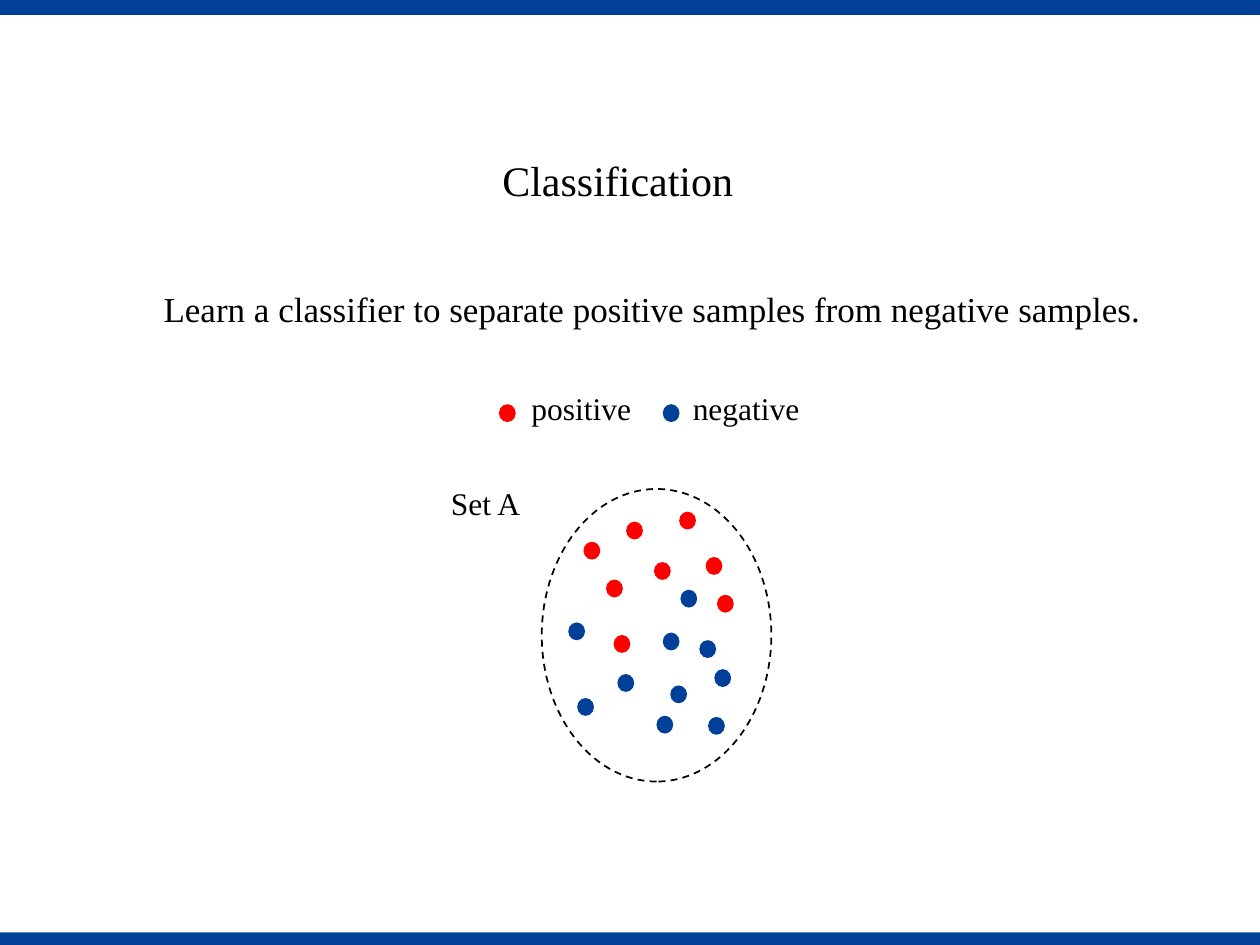
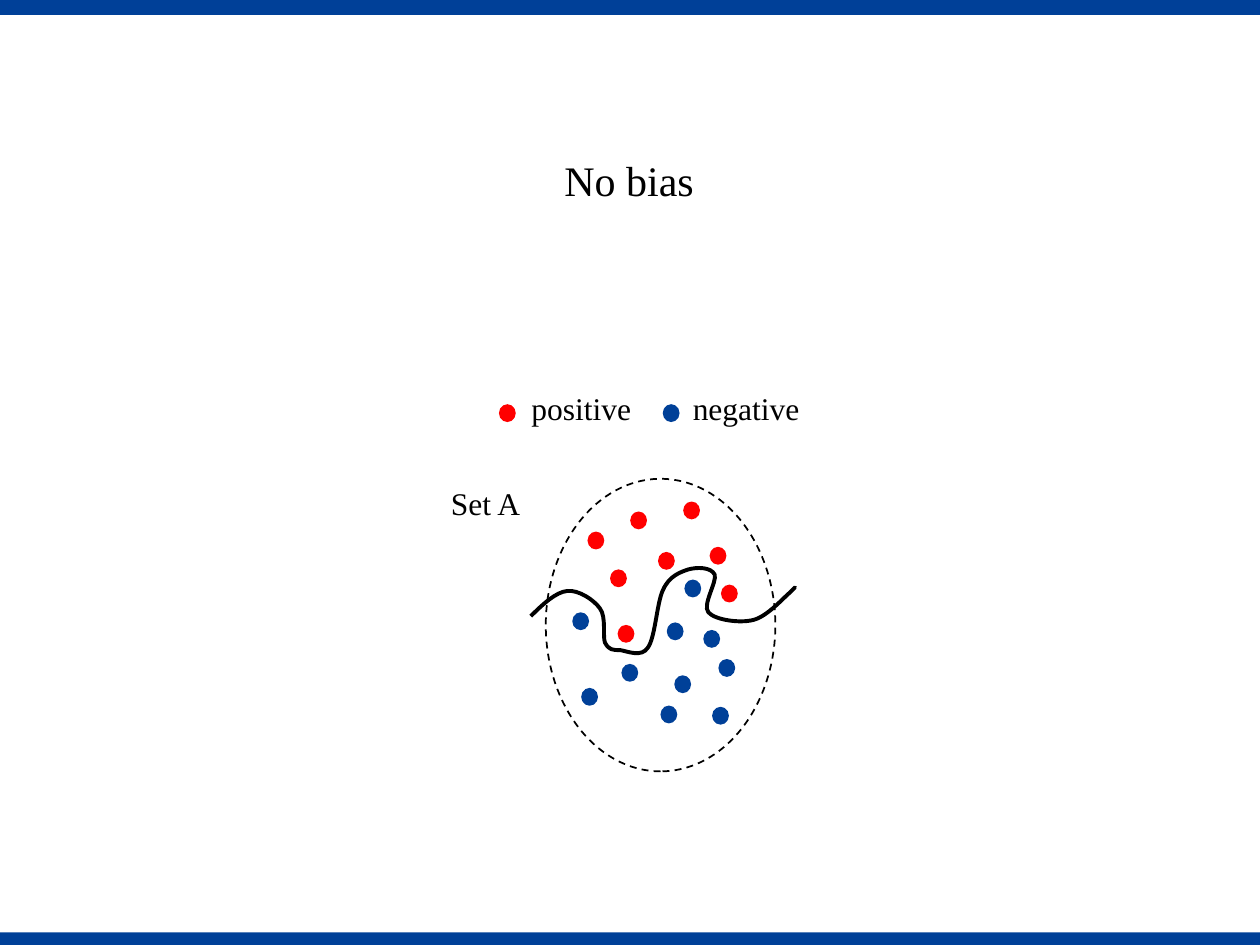
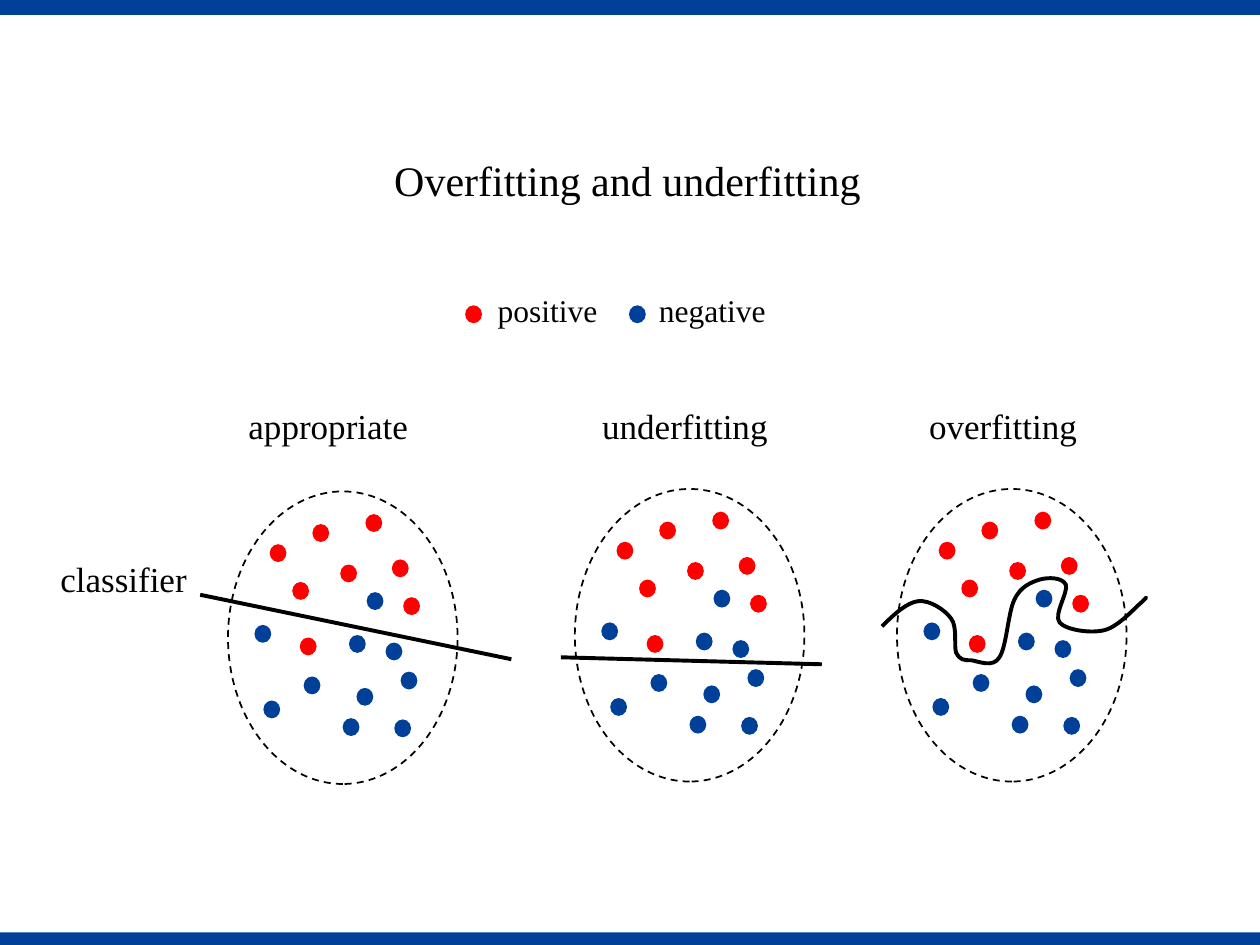
from dataclasses import dataclass
from typing import NamedTuple

from lxml import etree
from pptx import Presentation
from pptx.dml.color import RGBColor
from pptx.enum import dml, shapes, text
from pptx.oxml import ns
from pptx.util import Pt


@dataclass(frozen=True)
class Theme:
    blue: RGBColor = RGBColor(0x00, 0x40, 0x98)
    red: RGBColor = RGBColor(0xFF, 0x00, 0x00)
    black: RGBColor = RGBColor(0x00, 0x00, 0x00)
    font: str = "Times New Roman"
    title_size: float = 24
    body_size: float = 20
    label_size: float = 18
    outline: float = 1
    classifier_line: float = 2.25


class Point(NamedTuple):
    x: float
    y: float


class Box(NamedTuple):
    left: float
    top: float
    width: float
    height: float

    def lengths(self) -> tuple:
        return tuple(Pt(value) for value in self)


class Label(NamedTuple):
    wording: str
    box: Box
    size: float
    wrap: bool = False


class Line(NamedTuple):
    start: Point
    end: Point


THEME = Theme()
WIDTH, HEIGHT = 720, 540
BANDS = (Box(0, 532.8, WIDTH, 7.2), Box(0, 0, WIDTH, 8.6))
DOT = (9.6, 10.2)
SET_WIDTH, SET_HEIGHT = 131.2, 167.2

# Dot corners, measured from the top left of the sample set.
POSITIVES = (
    Point(48.2, 18.7), Point(64.1, 41.8), Point(36.7, 51.8), Point(78.5, 13),
    Point(41, 83.5), Point(93.6, 38.9), Point(100.1, 60.5), Point(23.8, 30.2),
)
NEGATIVES = (
    Point(69.1, 82.1), Point(15.1, 76.3), Point(20.2, 119.5), Point(43.2, 105.8),
    Point(65.5, 129.6), Point(98.6, 103), Point(73.4, 112.3), Point(95, 130.3),
    Point(79.2, 57.6), Point(90, 86.4),
)

# Start point, then two control points and an end point for each Bezier segment.
OVERFITTED_CURVE = (
    Point(-8.6, 78.5),
    Point(-1.4, 71.3), Point(5.8, 64.8), Point(12.2, 64.1),
    Point(18.7, 63.4), Point(27.4, 69.1), Point(31, 74.2),
    Point(34.6, 79.2), Point(32.4, 90), Point(33.8, 93.6),
    Point(36, 97.9), Point(38.2, 97.9), Point(42.5, 97.9),
    Point(46.8, 98.6), Point(54.7, 102.2), Point(58.3, 96.5),
    Point(62.6, 90.7), Point(63.4, 70.6), Point(67, 63.4),
    Point(70.6, 55.4), Point(77, 53.3), Point(81.4, 51.8),
    Point(86.4, 50.4), Point(94.3, 50.4), Point(96.5, 54.7),
    Point(97.9, 59), Point(89.3, 72), Point(92.9, 76.3),
    Point(96.5, 80.6), Point(110.9, 82.8), Point(118.8, 80.6),
    Point(126.7, 78.5), Point(136.1, 67.7), Point(139.7, 64.8),
    Point(143.3, 61.2), Point(142.6, 61.9), Point(141.8, 62.6),
)

SET_A = Label("Set A", Box(250.6, 272.9, 54.7, 28.8), THEME.label_size)


def add_filled(container, kind: shapes.MSO_SHAPE, box: Box, color: RGBColor) -> None:
    shape = container.shapes.add_shape(kind, *box.lengths())
    shape.shadow.inherit = False
    shape.fill.solid()
    shape.fill.fore_color.rgb = color
    shape.line.fill.background()


def add_dot(container, corner: Point, color: RGBColor) -> None:
    add_filled(container, shapes.MSO_SHAPE.OVAL, Box(*corner, *DOT), color)


def set_line(shape, width: float) -> None:
    shape.line.color.rgb = THEME.black
    shape.line.width = Pt(width)


def add_label(container, label: Label) -> None:
    frame = container.shapes.add_textbox(*label.box.lengths()).text_frame
    frame.word_wrap = label.wrap
    frame.auto_size = text.MSO_AUTO_SIZE.SHAPE_TO_FIT_TEXT
    run = frame.paragraphs[0].add_run()
    run.text = label.wording
    run.font.name = THEME.font
    run.font.size = Pt(label.size)
    run.font.color.rgb = THEME.black


def add_legend(slide, origin: Point) -> None:
    group = slide.shapes.add_group_shape()
    entries = (("positive", THEME.red, 0, 11.5, 72),
               ("negative", THEME.blue, 93.6, 103.7, 76.3))
    for wording, color, dot_offset, text_offset, width in entries:
        add_dot(group, Point(origin.x + dot_offset, origin.y + 12), color)
        box = Box(origin.x + text_offset, origin.y, width, 28.8)
        add_label(group, Label(wording, box, THEME.label_size))


def add_sample_set(slide, origin: Point) -> None:
    """Draw the dashed set, turned a quarter, with all its samples."""
    group = slide.shapes.add_group_shape()
    shift = (SET_HEIGHT - SET_WIDTH) / 2
    frame = Box(origin.x - shift, origin.y + shift, SET_HEIGHT, SET_WIDTH)
    ellipse = group.shapes.add_shape(shapes.MSO_SHAPE.OVAL, *frame.lengths())
    ellipse.rotation = 270
    ellipse.shadow.inherit = False
    ellipse.fill.background()
    set_line(ellipse, THEME.outline)
    ellipse.line.dash_style = dml.MSO_LINE.DASH
    for samples, color in ((POSITIVES, THEME.red), (NEGATIVES, THEME.blue)):
        for sample in samples:
            add_dot(group, Point(origin.x + sample.x, origin.y + sample.y), color)


def add_overfitted_curve(slide, origin: Point) -> None:
    """Build the outline from straight segments, then turn each three into a Bezier."""
    start, *rest = [(Pt(origin.x + point.x), Pt(origin.y + point.y))
                    for point in OVERFITTED_CURVE]
    builder = slide.shapes.build_freeform(*start)
    builder.add_line_segments(rest, close=False)
    curve = builder.convert_to_shape()
    curve.shadow.inherit = False
    curve.fill.background()
    set_line(curve, THEME.classifier_line)
    segments = curve.element.xpath(".//a:lnTo")
    outline = segments[0].getparent()
    for index in range(0, len(segments), 3):
        bezier = etree.SubElement(outline, ns.qn("a:cubicBezTo"))
        for segment in segments[index:index + 3]:
            bezier.append(segment[0])
            outline.remove(segment)


def add_classifier_line(slide, line: Line) -> None:
    connector = slide.shapes.add_connector(
        shapes.MSO_CONNECTOR.STRAIGHT,
        *(Pt(value) for value in (*line.start, *line.end)))
    set_line(connector, THEME.classifier_line)
    etree.SubElement(connector.element.spPr, ns.qn("a:effectLst"))


def add_slide(presentation, title: Label, legend: Point):
    """Add a slide with the shared bands, its title and the legend."""
    slide = presentation.slides.add_slide(presentation.slide_layouts[6])
    for band in BANDS:
        add_filled(slide, shapes.MSO_SHAPE.RECTANGLE, band, THEME.blue)
    add_label(slide, title)
    add_legend(slide, legend)
    return slide


def title_label(wording: str, left: float, width: float, wrap: bool = False) -> Label:
    return Label(wording, Box(left, 85, width, 36), THEME.title_size, wrap)


def body_label(wording: str, left: float, top: float, width: float,
               wrap: bool = False) -> Label:
    return Label(wording, Box(left, top, width, 31.5), THEME.body_size, wrap)


def add_classification(presentation) -> None:
    slide = add_slide(presentation, title_label("Classification", 280, 160, True),
                      Point(285.1, 219))
    add_sample_set(slide, Point(309.6, 279.4))
    add_label(slide, body_label(
        "Learn a classifier to separate positive samples from negative samples.",
        86.4, 160.6, 583.2, True))
    add_label(slide, SET_A)


def add_no_bias(presentation) -> None:
    slide = add_slide(presentation, title_label("No bias", 315.4, 89.3),
                      Point(285.1, 219))
    origin = Point(311.9, 273.6)
    add_sample_set(slide, origin)
    add_overfitted_curve(slide, origin)
    add_label(slide, SET_A)


def add_fitting(presentation) -> None:
    slide = add_slide(presentation,
                      title_label("Overfitting and underfitting", 218.2, 283.7),
                      Point(265.8, 162.5))
    heading_top = 227.5
    for label in (body_label("classifier", 27.4, 315.2, 87.1),
                  body_label("appropriate", 134.9, heading_top, 106.6),
                  body_label("underfitting", 337, heading_top, 109.4),
                  body_label("overfitting", 523.8, heading_top, 99.4)):
        add_label(slide, label)
    overfitting = Point(512.6, 279.4)
    for origin in (Point(130.3, 280.8), Point(328.5, 279.4), overfitting):
        add_sample_set(slide, origin)
    for line in (Line(Point(114.4, 339.9), Point(292.2, 376.7)),
                 Line(Point(320.5, 375.6), Point(469.6, 379.6))):
        add_classifier_line(slide, line)
    add_overfitted_curve(slide, overfitting)


def main() -> None:
    presentation = Presentation()
    presentation.slide_width = Pt(WIDTH)
    presentation.slide_height = Pt(HEIGHT)
    add_classification(presentation)
    add_no_bias(presentation)
    add_fitting(presentation)
    presentation.save("out.pptx")


if __name__ == "__main__":
    main()
